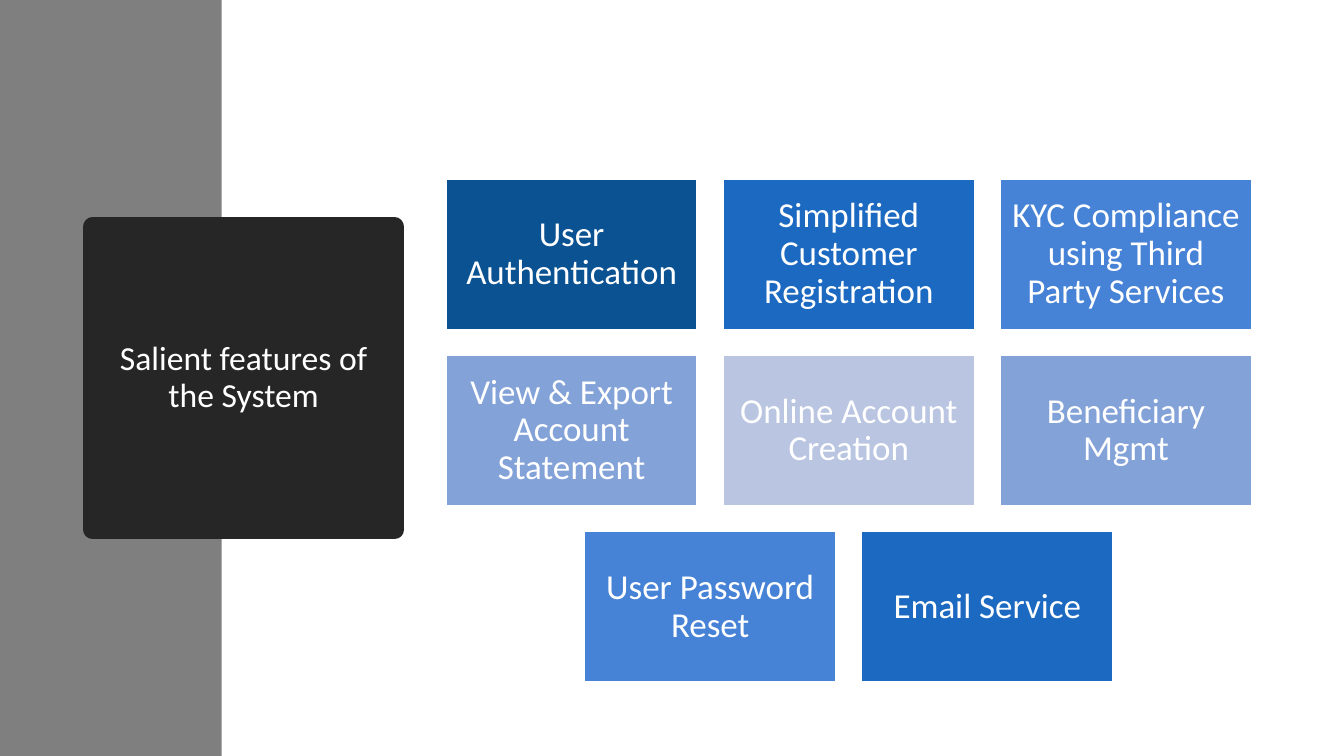
import pptx
import pptx.dml.color
import pptx.enum.shapes
import pptx.enum.text
import pptx.oxml
import pptx.oxml.ns
import pptx.util

Cm = pptx.util.Cm
WHITE = "FFFFFF"
ROWS = [
    [("User Authentication", "0B5292"),
     ("Simplified Customer Registration", "1C69C1"),
     ("KYC Compliance using Third Party Services", "4682D6")],
    [("View & Export Account Statement", "83A2D8"),
     ("Online Account Creation", "B9C5E1"),
     ("Beneficiary Mgmt", "83A2D8")],
    [("User Password Reset", "4682D6"),
     ("Email Service", "1C69C1")],
]


def paint(form, color):
    """Give a fill or a font a solid hex colour."""
    shade = pptx.dml.color.RGBColor.from_string(color)
    if hasattr(form, "solid"):
        form.solid()
        form.fore_color.rgb = shade
    else:
        form.color.rgb = shade


def place(shape, box):
    """Set a shape's left, top, width and height in centimetres."""
    shape.left, shape.top, shape.width, shape.height = map(Cm, box)


def write(shape, text, size):
    """Centre white text in a shape."""
    frame = shape.text_frame
    frame.text = text
    frame.word_wrap = True
    frame.auto_size = pptx.enum.text.MSO_AUTO_SIZE.NONE
    frame.vertical_anchor = pptx.enum.text.MSO_ANCHOR.MIDDLE
    line = frame.paragraphs[0]
    line.alignment = pptx.enum.text.PP_ALIGN.CENTER
    line.line_spacing = 0.9
    font = line.runs[0].font
    font.name = "Calibri"
    font.size = pptx.util.Pt(size)
    paint(font, WHITE)


def add_block(slide, box, color):
    """Add a plain filled rectangle."""
    kind = pptx.enum.shapes.MSO_SHAPE.RECTANGLE
    block = slide.shapes.add_shape(kind, *map(Cm, box))
    block.shadow.inherit = False
    paint(block.fill, color)
    block.line.fill.background()
    return block


def add_head(slide, box):
    """Place the title as a dark square with a thick, rounded edge."""
    head = slide.shapes.title
    place(head, box)
    write(head, "Salient features of the System", 24)
    paint(head.fill, "262626")
    paint(head.line.fill, "262626")
    head.line.width = pptx.util.Pt(13.75)
    edge = head.line.fill._xPr
    edge.append(pptx.oxml.parse_xml(
        f'<a:round {pptx.oxml.ns.nsdecls("a")}/>'))


def add_band(slide, box):
    """Draw the grey side band behind the title."""
    band = add_block(slide, box, "7F7F7F")
    slide.shapes.title.element.addprevious(band.element)


def add_grid(slide, box):
    """Lay out the feature tiles in centred rows within the box."""
    left, top, width, height = box
    wide, high = 6.35, 3.81
    gap = (width - 3 * wide) / 2
    drop = (height - high) / (len(ROWS) - 1)
    for row, tiles in enumerate(ROWS):
        span = len(tiles) * (wide + gap) - gap
        start = left + (width - span) / 2
        for col, (text, color) in enumerate(tiles):
            spot = (start + col * (wide + gap), top + row * drop, wide, high)
            tile = add_block(slide, spot, color)
            paint(tile.line.fill, WHITE)
            tile.line.width = pptx.util.Pt(1.5)
            write(tile, text, 25)
            frame = tile.text_frame
            frame.margin_left = frame.margin_right = Cm(0.25)
            frame.margin_top = frame.margin_bottom = Cm(0.25)


def main():
    """Build and save the slide."""
    deck = pptx.Presentation()
    deck.slide_width, deck.slide_height = Cm(33.87), Cm(19.05)
    slide = deck.slides.add_slide(deck.slide_layouts[5])
    add_head(slide, (2.33, 5.72, 7.62, 7.62))
    add_band(slide, (0, 0, 5.59, 19.05))
    add_grid(slide, (11.23, 4.5, 20.32, 12.7))
    deck.save("out.pptx")


if __name__ == "__main__":
    main()
